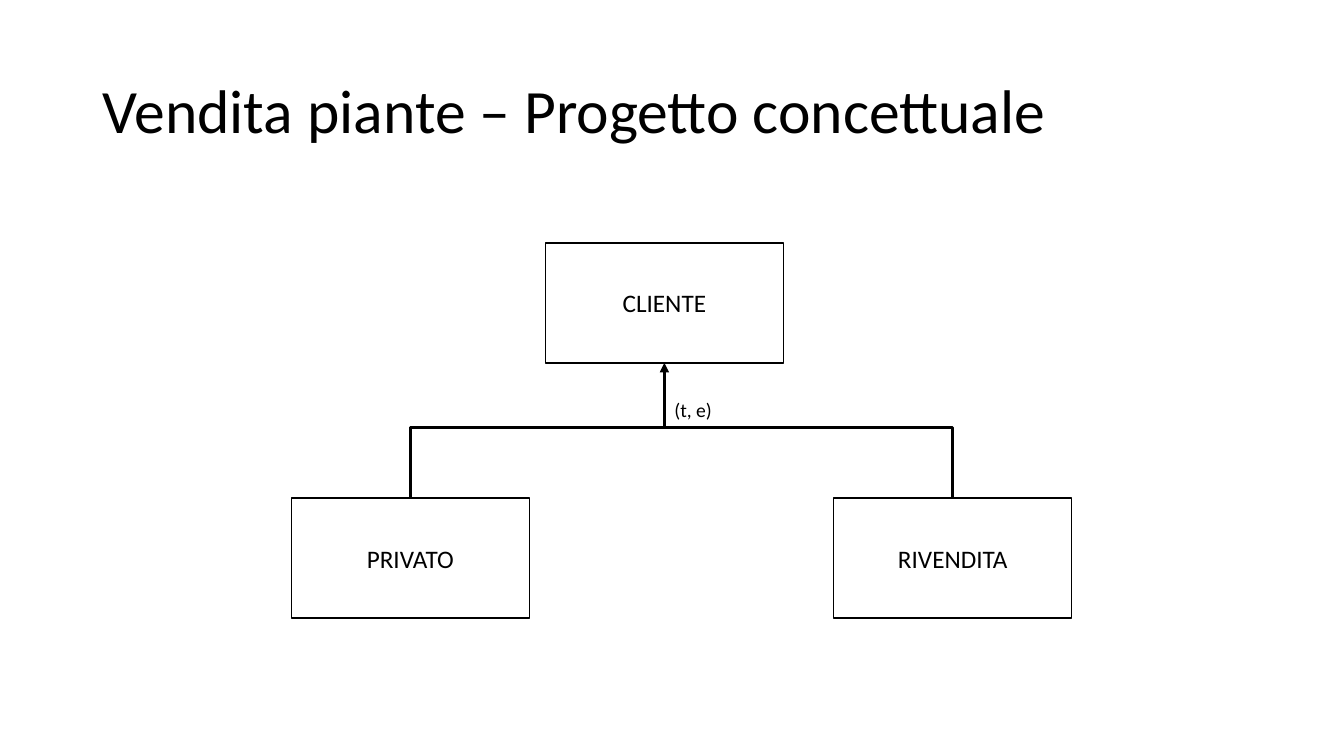
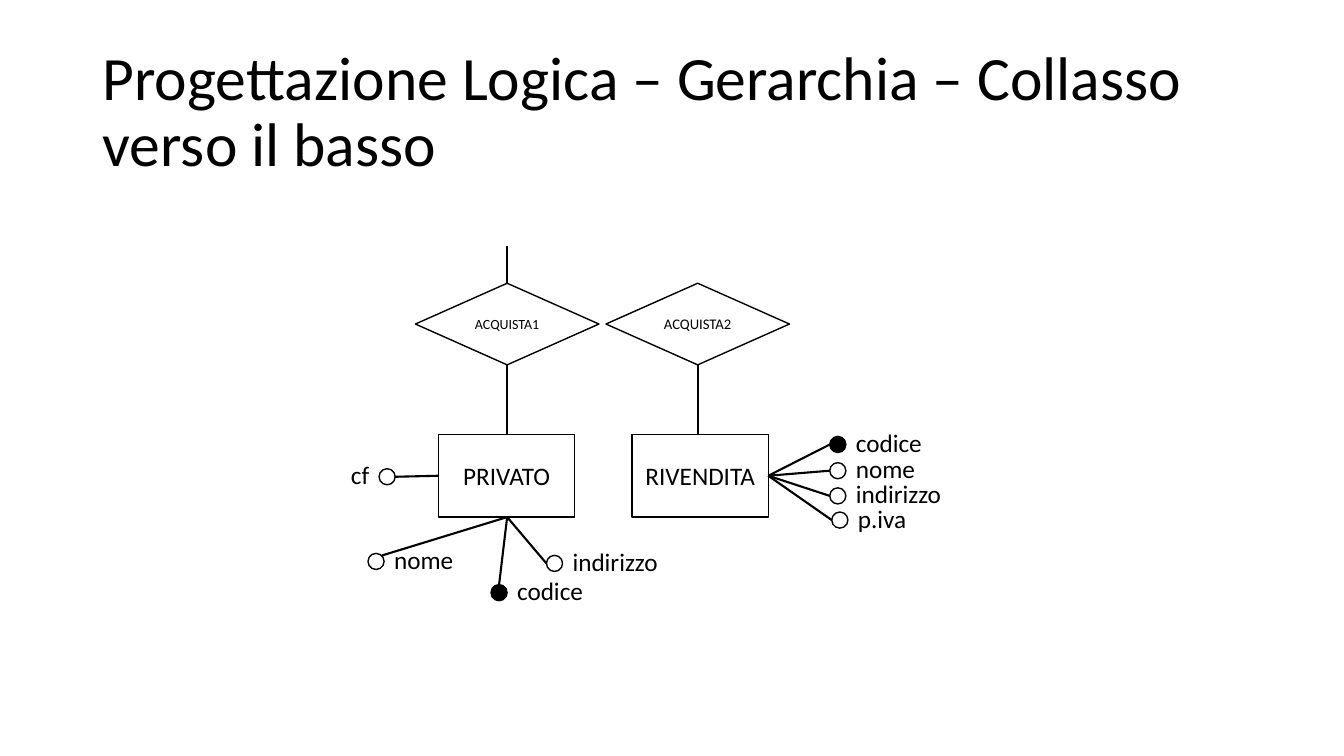
from lxml import etree
from pptx import Presentation
from pptx import util as u
from pptx.dml.color import RGBColor
from pptx.enum import shapes as es, text as et
from pptx.oxml.ns import qn

BLACK, WHITE, FONT = "000000", "FFFFFF", "Calibri"
RECT, DIAMOND, OVAL = (es.MSO_SHAPE.RECTANGLE, es.MSO_SHAPE.DIAMOND,
                       es.MSO_SHAPE.OVAL)
LEFT, CENTER, RIGHT = et.PP_ALIGN.LEFT, et.PP_ALIGN.CENTER, et.PP_ALIGN.RIGHT
MIDDLE, TOP = et.MSO_ANCHOR.MIDDLE, et.MSO_ANCHOR.TOP

# Slide 1: entity name, left, top
HIERARCHY_TITLE = "Vendita piante – Progetto concettuale"
ENTITY_W, ENTITY_H = 2.36, 1.19
PARENT = ("CLIENTE", 5.41, 2.41)
CHILDREN = [("PRIVATO", 2.89, 4.94), ("RIVENDITA", 8.27, 4.94)]
BRANCH_Y = 4.24
COVERAGE = "(t, e)"

# Slide 2
COLLAPSE_TITLE = "Progettazione Logica – Gerarchia – Collasso verso il basso"
BOX_W, BOX_H, BOX_Y = 1.35, 0.82, 4.31
REL_W, REL_H, REL_Y = 1.82, 0.81, 2.81
BOXES = [("PRIVATO", 4.35), ("RIVENDITA", 6.27)]
RELATIONS = [("ACQUISTA1", 4.12, 10), ("ACQUISTA2", 6.01, 10.5)]
STUB_TOP = 2.44
DOT, LABEL_W, LABEL_H = 0.16, 1.51, 0.4

# Point on the dot where its line ends, as fractions of the dot
DOT_LEFT, DOT_RIGHT, DOT_TOP, DOT_CORNER = (0, 0.5), (1, 0.5), (0.5, 0), (0.87, 0.13)
# Point on the entity where the line starts -> (label, is key, x, y, dot end)
ATTRIBUTES = {
    (4.35, 4.72): [("cf", False, 3.76, 4.65, DOT_RIGHT)],
    (5.03, 5.13): [("codice", True, 4.87, 5.8, DOT_TOP),
                   ("nome", False, 3.65, 5.49, DOT_CORNER),
                   ("indirizzo", False, 5.42, 5.51, DOT_LEFT)],
    (7.62, 4.72): [("codice", True, 8.23, 4.33, DOT_LEFT),
                   ("nome", False, 8.23, 4.59, DOT_LEFT),
                   ("indirizzo", False, 8.23, 4.84, DOT_LEFT),
                   ("p.iva", False, 8.25, 5.08, DOT_LEFT)],
}


def rgb(color):
    return RGBColor.from_string(color)


def inches(*values):
    return [u.Inches(v) for v in values]


def write(sp, words, size, align=LEFT, anchor=TOP, spacing=None):
    tf = sp.text_frame
    tf.word_wrap = True
    tf.vertical_anchor = anchor
    p = tf.paragraphs[0]
    p.alignment, p.line_spacing = align, spacing
    r = p.add_run()
    r.text = words
    r.font.name, r.font.size = FONT, u.Pt(size)
    r.font.color.rgb = rgb(BLACK)


def add_text(parent, words, box, size, **style):
    write(parent.shapes.add_textbox(*inches(*box)), words, size, **style)


def add_node(parent, kind, box, words="", size=18, fill=WHITE):
    """Outlined shape, with a centred name if there is one."""
    sp = parent.shapes.add_shape(kind, *inches(*box))
    sp.shadow.inherit = False
    sp.fill.solid()
    sp.fill.fore_color.rgb = rgb(fill)
    sp.line.color.rgb, sp.line.width = rgb(BLACK), u.Pt(1)
    if words:
        write(sp, words, size, CENTER, MIDDLE)


def add_line(s, start, end, width=1.5, arrow=False):
    c = s.shapes.add_connector(es.MSO_CONNECTOR.STRAIGHT, *inches(*start, *end))
    c.line.color.rgb, c.line.width = rgb(BLACK), u.Pt(width)
    if arrow:
        etree.SubElement(c.line._get_or_add_ln(), qn("a:tailEnd"), type="triangle")
    etree.SubElement(c._element.spPr, qn("a:effectLst"))


def add_branch(s, points, width):
    """Open polyline through the points."""
    start, *rest = [inches(*point) for point in points]
    builder = s.shapes.build_freeform(*start)
    builder.add_line_segments(rest, close=False)
    sp = builder.convert_to_shape()
    sp.shadow.inherit = False
    sp.fill.background()
    sp.line.color.rgb, sp.line.width = rgb(BLACK), u.Pt(width)


def add_attribute(s, anchor, label, is_key, x, y, dot_end):
    """Dot with its label, tied to the entity at anchor."""
    fx, fy = dot_end
    add_line(s, (x + fx * DOT, y + fy * DOT), anchor)
    group = s.shapes.add_group_shape()
    add_node(group, OVAL, (x, y, DOT, DOT), fill=BLACK if is_key else WHITE)
    before = dot_end == DOT_RIGHT
    label_x = x - LABEL_W if before else x + DOT
    add_text(group, label, (label_x, y - 0.14, LABEL_W, LABEL_H), 18,
             align=RIGHT if before else LEFT)


def add_slide(prs, title):
    s = prs.slides.add_slide(prs.slide_layouts[6])
    add_text(s, title, (0.92, 0.4, 11.5, 1.45), 44, anchor=MIDDLE, spacing=0.9)
    return s


def build_hierarchy(prs):
    s = add_slide(prs, HIERARCHY_TITLE)
    for name, x, y in [*CHILDREN, PARENT]:
        add_node(s, RECT, (x, y, ENTITY_W, ENTITY_H), name)
    (x1, y1), (x2, y2) = [(x + ENTITY_W / 2, y) for _, x, y in CHILDREN]
    add_branch(s, [(x1, y1), (x1, BRANCH_Y), (x2, BRANCH_Y), (x2, y2)], 2.25)
    _, x, y = PARENT
    mid = x + ENTITY_W / 2
    add_line(s, (mid, BRANCH_Y), (mid, y + ENTITY_H), 2.25, arrow=True)
    add_text(s, COVERAGE, (mid, 3.9, 0.82, 0.34), 14)


def build_collapse(prs):
    s = add_slide(prs, COLLAPSE_TITLE)
    for name, x in BOXES:
        add_node(s, RECT, (x, BOX_Y, BOX_W, BOX_H), name)
    for name, x, size in RELATIONS:
        add_node(s, DIAMOND, (x, REL_Y, REL_W, REL_H), name, size)
        mid = x + REL_W / 2
        add_line(s, (mid, REL_Y + REL_H), (mid, BOX_Y))
    first_mid = RELATIONS[0][1] + REL_W / 2
    add_line(s, (first_mid, REL_Y), (first_mid, STUB_TOP))
    for anchor, attributes in ATTRIBUTES.items():
        for attribute in attributes:
            add_attribute(s, anchor, *attribute)


def main():
    prs = Presentation()
    prs.slide_width, prs.slide_height = inches(13.33, 7.5)
    build_hierarchy(prs)
    build_collapse(prs)
    prs.save("out.pptx")


if __name__ == "__main__":
    main()
